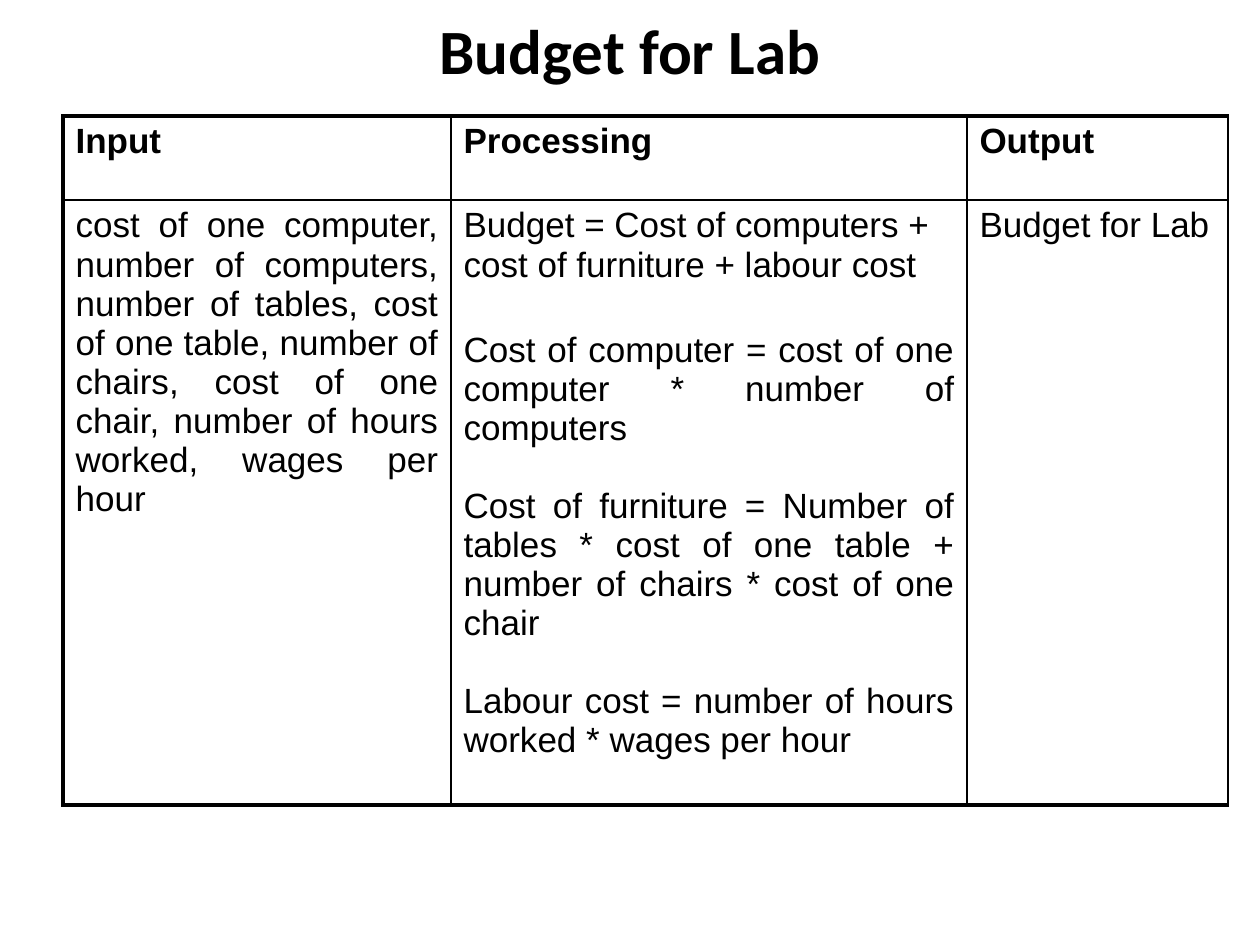
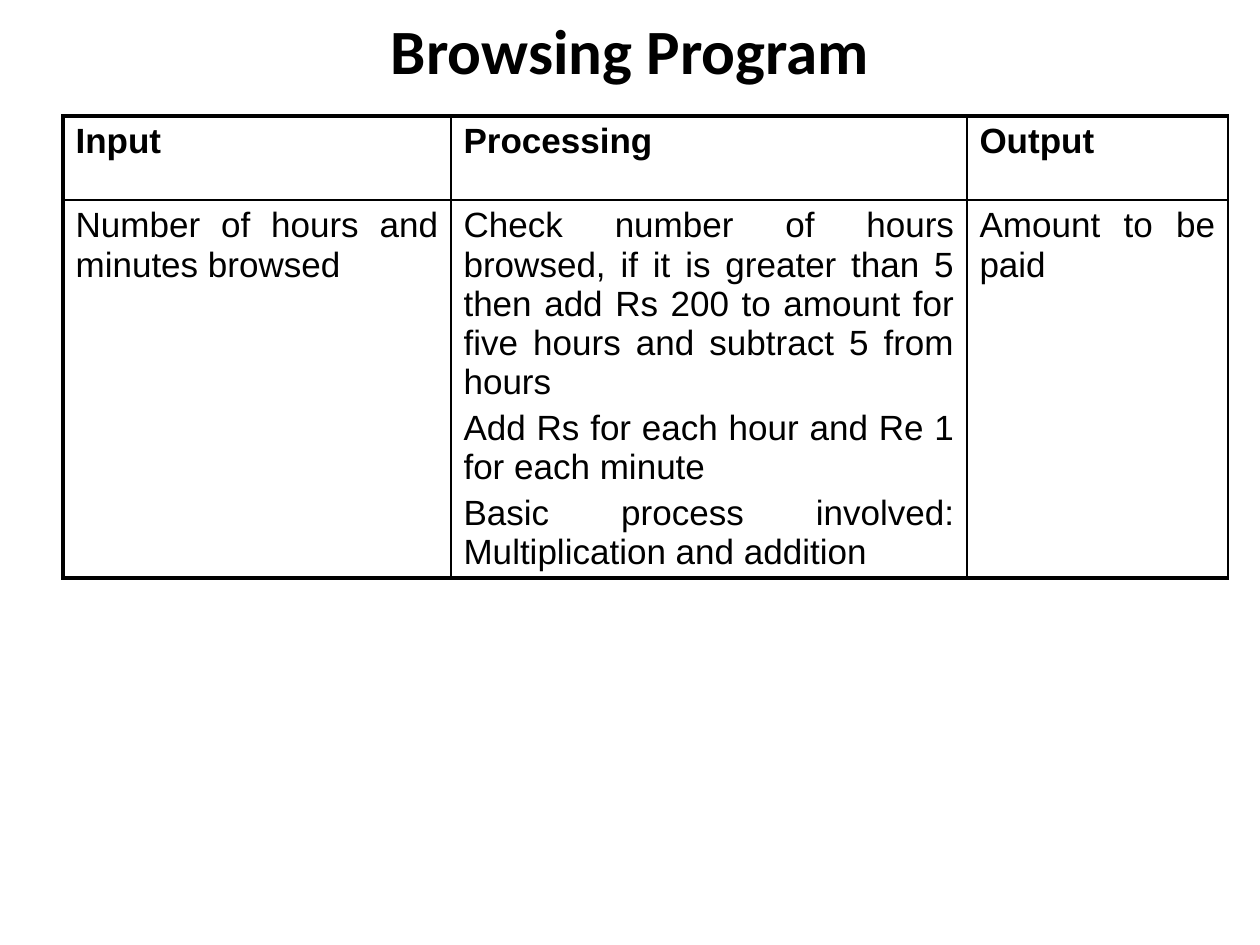
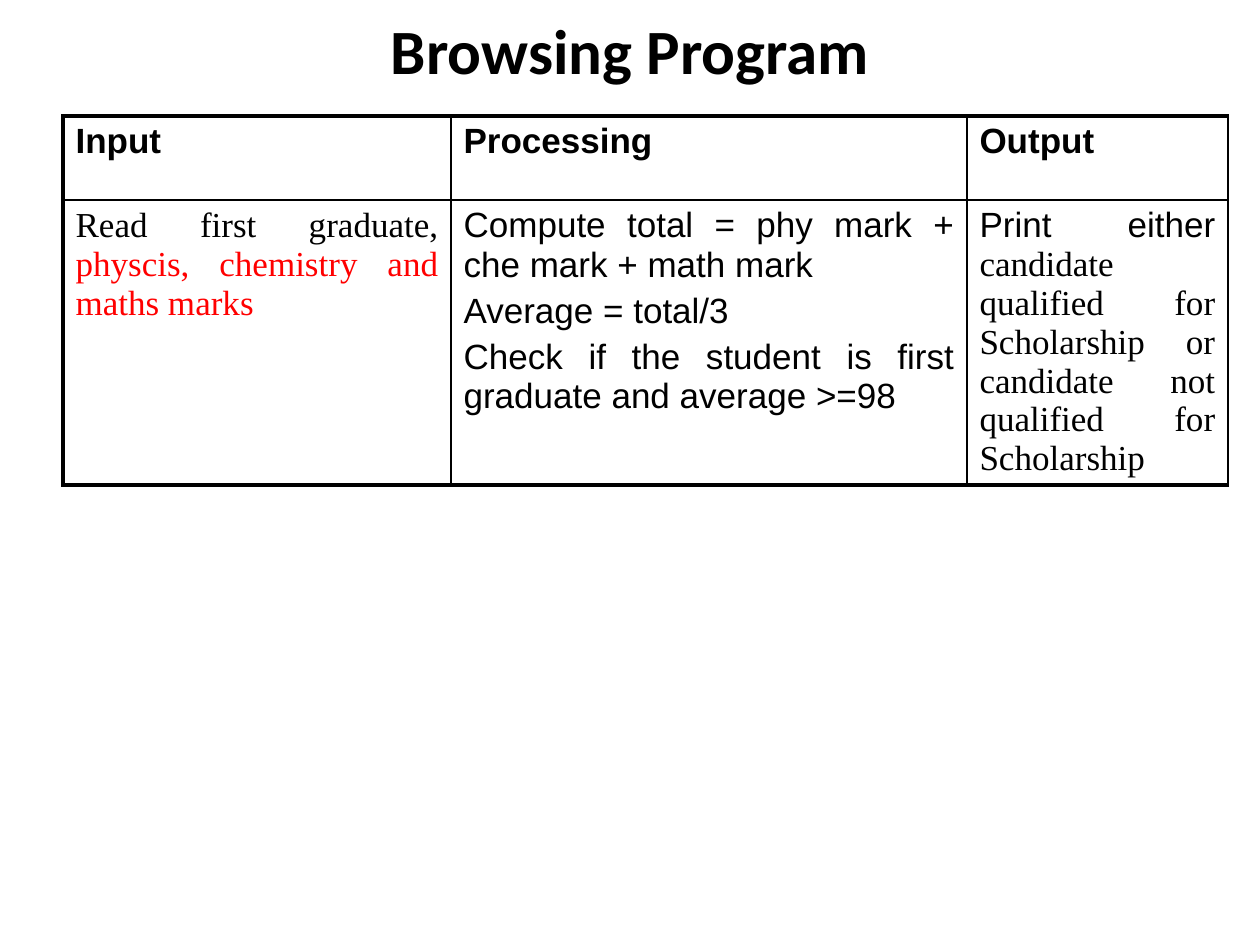
"""Three input, processing and output tables under bold titles."""
from lxml.etree import SubElement
from pptx import Presentation
from pptx.dml.color import RGBColor
from pptx.enum.text import MSO_ANCHOR, PP_ALIGN
from pptx.oxml.ns import qn
from pptx.util import Emu, Pt

SCALE = 914400 // 126
BLACK, RED = "000000", "FF0000"
SANS, SERIF, TITLE_FONT = "Arial", "Times New Roman", "Calibri"
JUSTIFY, LEFT = PP_ALIGN.JUSTIFY, PP_ALIGN.LEFT
THICK, THIN = 2.25, 1
TITLE_BOX = (63, 9, 1134, 81)
TABLE_CORNER = (63, 116)
COLUMNS = (388, 516, 261)
HEADER_HEIGHT = 84
NEAR, WIDE, WIDEST = 4, 22.3, 26.3


def para(*runs, gap=NEAR, align=JUSTIFY):
    """Describe a paragraph; a run is a text or (text, font, colour)."""
    full = [(run, SANS, BLACK) if isinstance(run, str) else run for run in runs]
    return full, gap, align


HEADINGS = ("Input", "Processing", "Output")
SLIDES = [
    {
        "title": "Budget for Lab",
        "body_height": 605,
        "body": [
            [para("cost of one computer, number of computers, number of tables, "
                  "cost of one table, number of chairs, cost of one chair, "
                  "number of hours worked, wages per hour")],
            [para("Budget = Cost of computers + cost of furniture + labour cost",
                  align=LEFT),
             para("Cost of computer = cost of one computer * number of computers",
                  gap=WIDEST),
             para("Cost of furniture = Number of tables * cost of one table + "
                  "number of chairs * cost of one chair", gap=WIDE),
             para("Labour cost = number of hours worked * wages per hour",
                  gap=WIDE)],
            [para("Budget for Lab")],
        ],
    },
    {
        "title": "Browsing Program",
        "body_height": 378,
        "body": [
            [para("Number of hours and minutes browsed")],
            [para("Check number of hours browsed, if it is greater than 5 then "
                  "add Rs 200 to amount for five hours and subtract 5 from hours"),
             para("Add Rs for each hour and Re 1 for each minute"),
             para("Basic process involved: Multiplication and addition")],
            [para("Amount to be paid")],
        ],
    },
    {
        "title": "Browsing Program",
        "body_height": 285,
        "body": [
            [para(("Read first graduate, ", SERIF, BLACK),
                  ("physcis, chemistry and maths marks", SERIF, RED))],
            [para("Compute total = phy mark + che mark + math mark"),
             para("Average = total/3"),
             para("Check if the student is first graduate and average >=98")],
            [para("Print either ",
                  ("candidate qualified for Scholarship or candidate not "
                   "qualified for Scholarship", SERIF, BLACK))],
        ],
    },
]


def px(length):
    """Turn pixels into EMU."""
    return Emu(length * SCALE)


def color(code):
    """Turn a hex string into a colour."""
    return RGBColor.from_string(code)


def add_run(paragraph, text, font, size, code, bold):
    """Add one formatted run."""
    run = paragraph.add_run()
    run.text = text
    run.font.name, run.font.size, run.font.bold = font, Pt(size), bold
    run.font.color.rgb = color(code)


def add_title(slide, text):
    """Place and fill the title placeholder."""
    title = slide.shapes.title
    title.left, title.top, title.width, title.height = map(px, TITLE_BOX)
    frame = title.text_frame
    frame.vertical_anchor = MSO_ANCHOR.MIDDLE
    frame.paragraphs[0].alignment = PP_ALIGN.CENTER
    add_run(frame.paragraphs[0], text, TITLE_FONT, 36, BLACK, True)


def set_borders(cell, widths):
    """Draw the left, right, top and bottom borders of a cell."""
    properties = cell._tc.get_or_add_tcPr()
    for side, width in zip("LRTB", widths):
        line = SubElement(properties, qn(f"a:ln{side}"), w=str(Pt(width)))
        fill = SubElement(line, qn("a:solidFill"))
        SubElement(fill, qn("a:srgbClr"), val=BLACK)


def fill_cell(cell, paragraphs, bold):
    """Write the paragraphs of a cell."""
    frame = cell.text_frame
    for index, (runs, gap, align) in enumerate(paragraphs):
        paragraph = frame.add_paragraph() if index else frame.paragraphs[0]
        paragraph.alignment = align
        if index:
            paragraph.space_before = Pt(gap)
        for text, font, code in runs:
            add_run(paragraph, text, font, 20, code, bold)


def add_process_table(slide, body, body_height):
    """Add the table with its heading row and body row."""
    rows = [[[para(heading)] for heading in HEADINGS], body]
    heights = (HEADER_HEIGHT, body_height)
    table = slide.shapes.add_table(
        len(rows), len(COLUMNS), *map(px, TABLE_CORNER),
        px(sum(COLUMNS)), px(sum(heights))).table
    table.first_row = table.horz_banding = False
    for column, width in zip(table.columns, COLUMNS):
        column.width = px(width)
    for r, (cells, height) in enumerate(zip(rows, heights)):
        table.rows[r].height = px(height)
        for c, paragraphs in enumerate(cells):
            cell = table.cell(r, c)
            fill_cell(cell, paragraphs, bold=r == 0)
            set_borders(cell, (THIN if c else THICK, THIN,
                               THIN if r else THICK, THICK if r else THIN))
            cell.fill.background()


def main():
    """Build and save the slides."""
    deck = Presentation()
    deck.slide_width, deck.slide_height = px(1260), px(945)
    title_only = deck.slide_layouts.get_by_name("Title Only")
    for content in SLIDES:
        slide = deck.slides.add_slide(title_only)
        add_title(slide, content["title"])
        add_process_table(slide, content["body"], content["body_height"])
    deck.save("out.pptx")


main()
